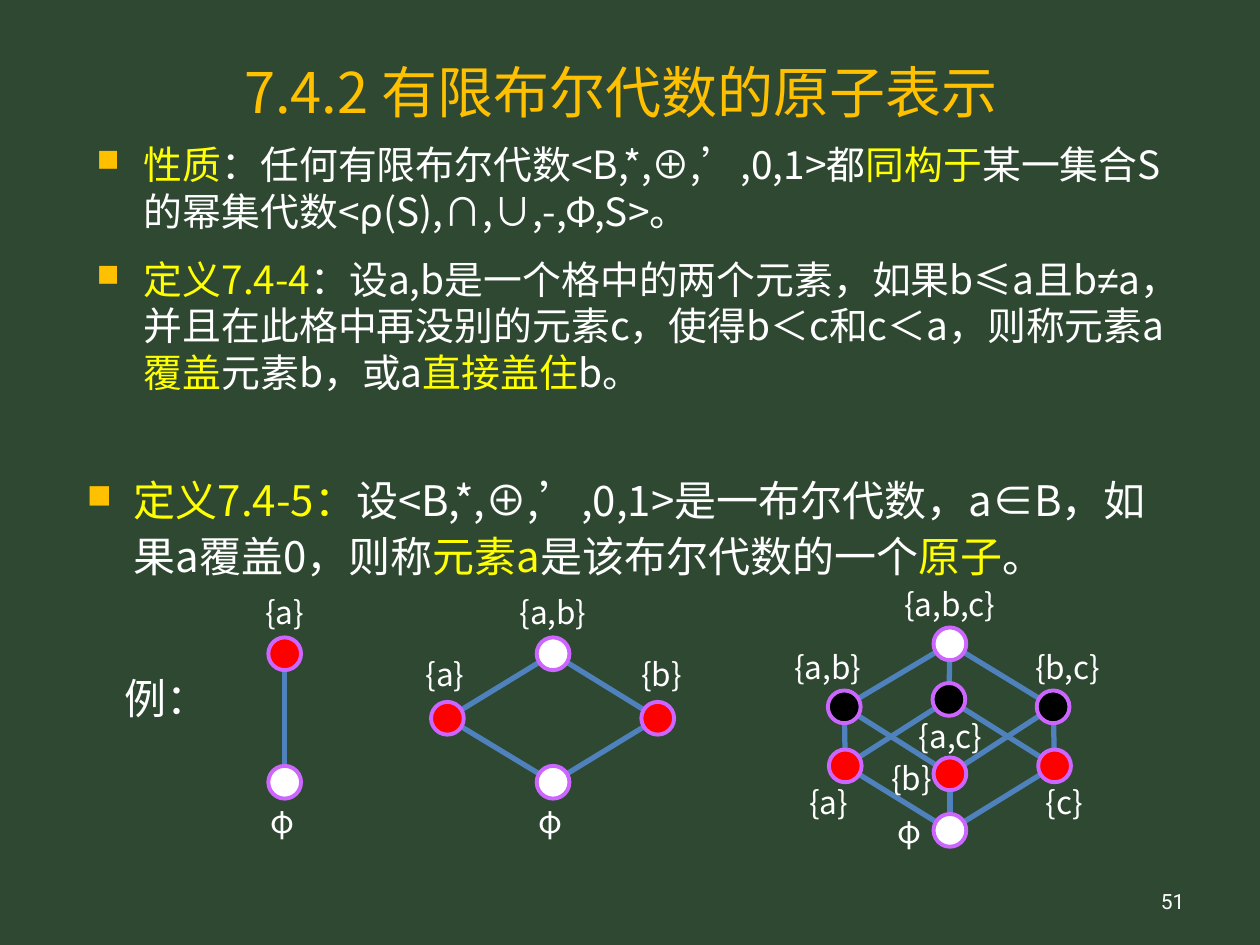
import itertools
import math

import lxml.etree
import pptx
import pptx.dml.color
import pptx.enum.lang
import pptx.enum.shapes
import pptx.enum.text
import pptx.oxml.ns
import pptx.util

Cm, Pt = pptx.util.Cm, pptx.util.Pt
ALIGN = pptx.enum.text.PP_ALIGN
ANCHOR = pptx.enum.text.MSO_ANCHOR

CJK_FONT = "Noto Sans CJK SC"
WHITE, YELLOW, ORANGE = "FFFFFF", "FFFF00", "FFC000"
RED, BLACK, PURPLE, BLUE = "FF0000", "000000", "CC66FF", "4F81BD"
NODE_RADIUS = 0.33
EDGE_TRIM = 0.28

PROPERTY = [
    ("性质", YELLOW), ("：任何有限布尔代数<B,*,⊕,’,0,1>都", WHITE),
    ("同构于", YELLOW), ("某一集合S的幂集代数<ρ(S),∩,∪,-,Φ,S>。", WHITE),
]
COVER_DEFINITION = [
    ("定义7.4-4", YELLOW), ("：设a,b是一个格中的两个元素，如果b≤a且b", WHITE),
    ("≠", WHITE, "Arial"),
    ("a，并且在此格中再没别的元素c，使得b＜c和c＜a，则称元素a", WHITE),
    ("覆盖", YELLOW), ("元素b，或a", WHITE), ("直接盖住", YELLOW), ("b。", WHITE),
]
ATOM_DEFINITION = [
    ("定义7.4-5：", YELLOW),
    ("设<B,*,⊕,’,0,1>是一布尔代数，a∈B，如果a覆盖0，则称", WHITE),
    ("元素a", YELLOW), ("是该布尔代数的一个", WHITE), ("原子", YELLOW), ("。", WHITE),
]

# Subset: (node centre x, y), (label offset from the centre x, y), in cm
CHAIN = {
    "a": ((1.42, 1.34), (0, -1.35)),
    "": ((1.42, 3.93), (-0.05, 0.28)),
}
DIAMOND = {
    "ab": ((3.02, 1.34), (0, -1.35)),
    "a": ((0.89, 2.64), (-0.05, -1.4)),
    "b": ((5.13, 2.64), (0.08, -1.4)),
    "": ((3.02, 3.93), (-0.05, 0.28)),
}
CUBE = {
    "abc": ((3.61, 1.32), (0, -1.32)),
    "ab": ((1.48, 2.59), (-0.33, -1.32)),
    "ac": ((3.59, 2.44), (0.03, 0.23)),
    "bc": ((5.69, 2.59), (0.29, -1.32)),
    "a": ((1.5, 3.78), (-0.33, 0.23)),
    "b": ((3.61, 3.94), (-0.77, -0.43)),
    "c": ((5.72, 3.78), (0.2, 0.23)),
    "": ((3.61, 5.08), (-0.81, -0.5)),
}


def rgb(hex_colour):
    return pptx.dml.color.RGBColor.from_string(hex_colour)


def add_xml(parent, tag, **attributes):
    return lxml.etree.SubElement(parent, pptx.oxml.ns.qn(tag), attributes)


def set_font(paragraph, size, colour=WHITE, name=CJK_FONT):
    font = paragraph.font
    font.size, font.name = Pt(size), name
    font.color.rgb = rgb(colour)
    font.language_id = pptx.enum.lang.MSO_LANGUAGE_ID.SIMPLIFIED_CHINESE
    add_xml(font._element, "a:ea", typeface=name)


def add_text(slide, box, text="", size=18, align=ALIGN.CENTER, anchor=ANCHOR.TOP,
             wrap=True, name=CJK_FONT):
    frame = slide.shapes.add_textbox(*map(Cm, box)).text_frame
    frame.word_wrap, frame.vertical_anchor = wrap, anchor
    if text:
        paragraph = frame.paragraphs[0]
        paragraph.text, paragraph.alignment = text, align
        set_font(paragraph, size, name=name)
    return frame


def add_title(slide, box):
    title = slide.shapes.title
    title.left, title.top, title.width, title.height = map(Cm, box)
    frame = title.text_frame
    frame.auto_size = pptx.enum.text.MSO_AUTO_SIZE.NONE
    frame.vertical_anchor = ANCHOR.MIDDLE
    heading = frame.paragraphs[0]
    heading.text, heading.alignment = "7.4.2 有限布尔代数的原子表示", ALIGN.CENTER
    set_font(heading, 32, ORANGE)


def add_statements(slide, box, statements, size, spacing):
    frame = add_text(slide, box)
    for index, statement in enumerate(statements):
        paragraph = frame.add_paragraph() if index else frame.paragraphs[0]
        # Hanging square bullet
        properties = paragraph._p.get_or_add_pPr()
        properties.set("marL", str(Cm(0.95)))
        properties.set("indent", str(-Cm(0.95)))
        bullet_colour = add_xml(properties, "a:buClr")
        add_xml(bullet_colour, "a:srgbClr", val=ORANGE)
        add_xml(properties, "a:buSzPct", val="80000")
        add_xml(properties, "a:buChar", char="■")

        paragraph.line_spacing = spacing
        paragraph.space_after = Pt(6)
        if index:
            paragraph.space_before = Pt(6)
        set_font(paragraph, size)
        for text, colour, *font_name in statement:
            run = paragraph.add_run()
            run.text = text
            run.font.color.rgb = rgb(colour)
            if font_name:
                run.font.name = font_name[0]


def add_edge(slide, start, end):
    share = EDGE_TRIM / math.dist(start, end)
    dx, dy = ((b - a) * share for a, b in zip(start, end))
    edge = slide.shapes.add_connector(
        pptx.enum.shapes.MSO_CONNECTOR.STRAIGHT,
        Cm(start[0] + dx), Cm(start[1] + dy), Cm(end[0] - dx), Cm(end[1] - dy))
    edge.line.color.rgb, edge.line.width = rgb(BLUE), Pt(3)
    add_xml(edge._element.spPr, "a:effectLst")


def add_node(slide, centre, colour):
    x, y = centre
    node = slide.shapes.add_shape(
        pptx.enum.shapes.MSO_SHAPE.OVAL, Cm(x - NODE_RADIUS), Cm(y - NODE_RADIUS),
        Cm(2 * NODE_RADIUS), Cm(2 * NODE_RADIUS))
    node.shadow.inherit = False
    node.fill.solid()
    node.fill.fore_color.rgb = rgb(colour)
    node.line.color.rgb, node.line.width = rgb(PURPLE), Pt(2.25)


def add_hasse_diagram(slide, left, top, lattice):
    centres = {subset: (left + x, top + y) for subset, ((x, y), _) in lattice.items()}
    # An edge joins a subset to each one with a single extra element
    for upper, lower in itertools.permutations(lattice, 2):
        if set(lower) < set(upper) and len(upper) - len(lower) == 1:
            add_edge(slide, centres[upper], centres[lower])
    # Labels
    for subset, (_, (dx, dy)) in lattice.items():
        x, y = centres[subset]
        label = "{" + ",".join(subset) + "}" if subset else "φ"
        width = 1.2 + 0.55 * len(subset)
        add_text(slide, (x + dx - width / 2, y + dy, width, 1.02), label, wrap=False)
    # Atoms are red, the bounds white, all others black
    bounds = (max(lattice, key=len), "")
    for subset, centre in centres.items():
        colour = RED if len(subset) == 1 else WHITE if subset in bounds else BLACK
        add_node(slide, centre, colour)


def main():
    deck = pptx.Presentation()
    deck.slide_width, deck.slide_height = Cm(25.4), Cm(19.05)
    slide = deck.slides.add_slide(deck.slide_layouts[5])
    slide.background.fill.solid()
    slide.background.fill.fore_color.rgb = rgb("2F4832")

    # Title and definitions
    add_title(slide, (1.7, 0.91, 21.64, 1.85))
    add_statements(slide, (1.7, 2.72, 22.43, 6.45), [PROPERTY, COVER_DEFINITION], 22.2, 1.0)
    add_statements(slide, (1.5, 9.35, 22.43, 2.82), [ATOM_DEFINITION], 24, 1.1)

    # Examples
    add_text(slide, (1.93, 13.36, 2.01, 1.4), "例：", 24, anchor=ANCHOR.MIDDLE)
    add_hasse_diagram(slide, 4.32, 11.84, CHAIN)
    add_hasse_diagram(slide, 8.13, 11.84, DIAMOND)
    add_hasse_diagram(slide, 15.54, 11.66, CUBE)

    # Slide number
    add_text(slide, (18.21, 17.65, 5.92, 1.02), "51", 12, ALIGN.RIGHT, ANCHOR.MIDDLE,
             name="Roboto")
    deck.save("out.pptx")


if __name__ == "__main__":
    main()
